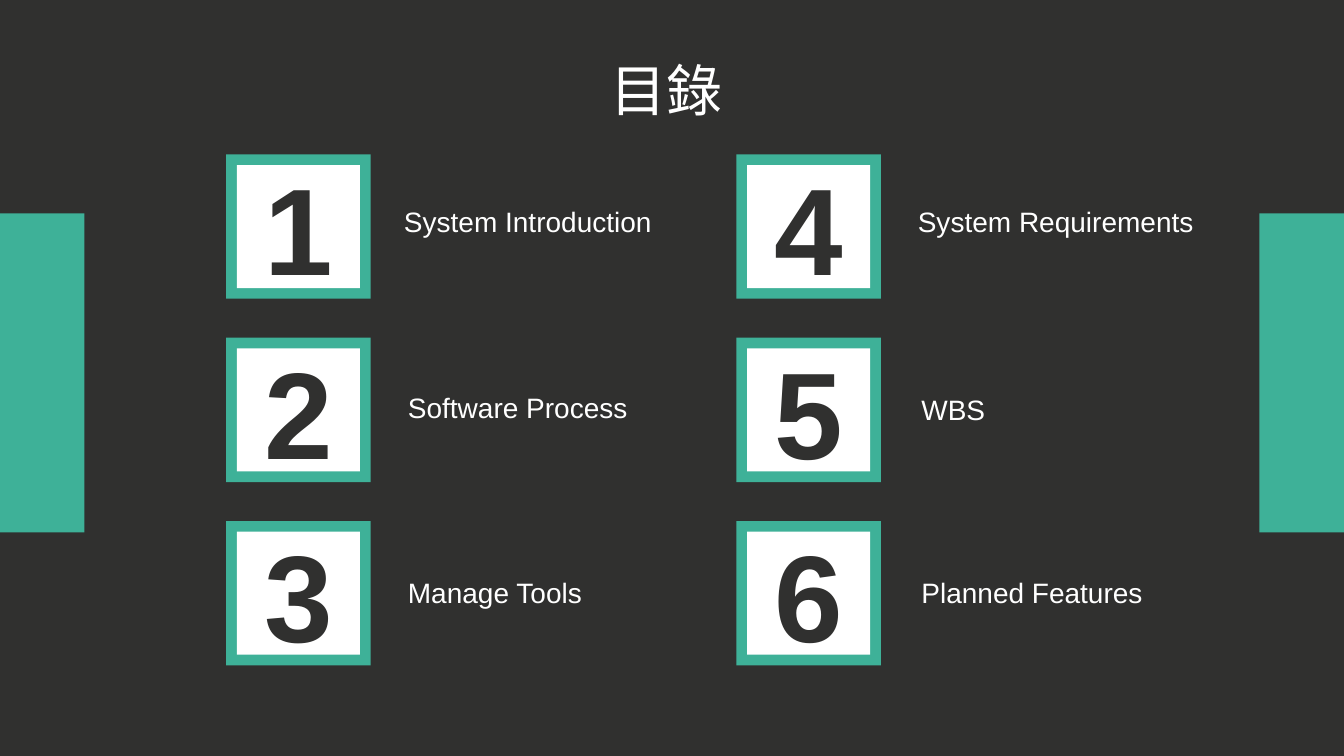
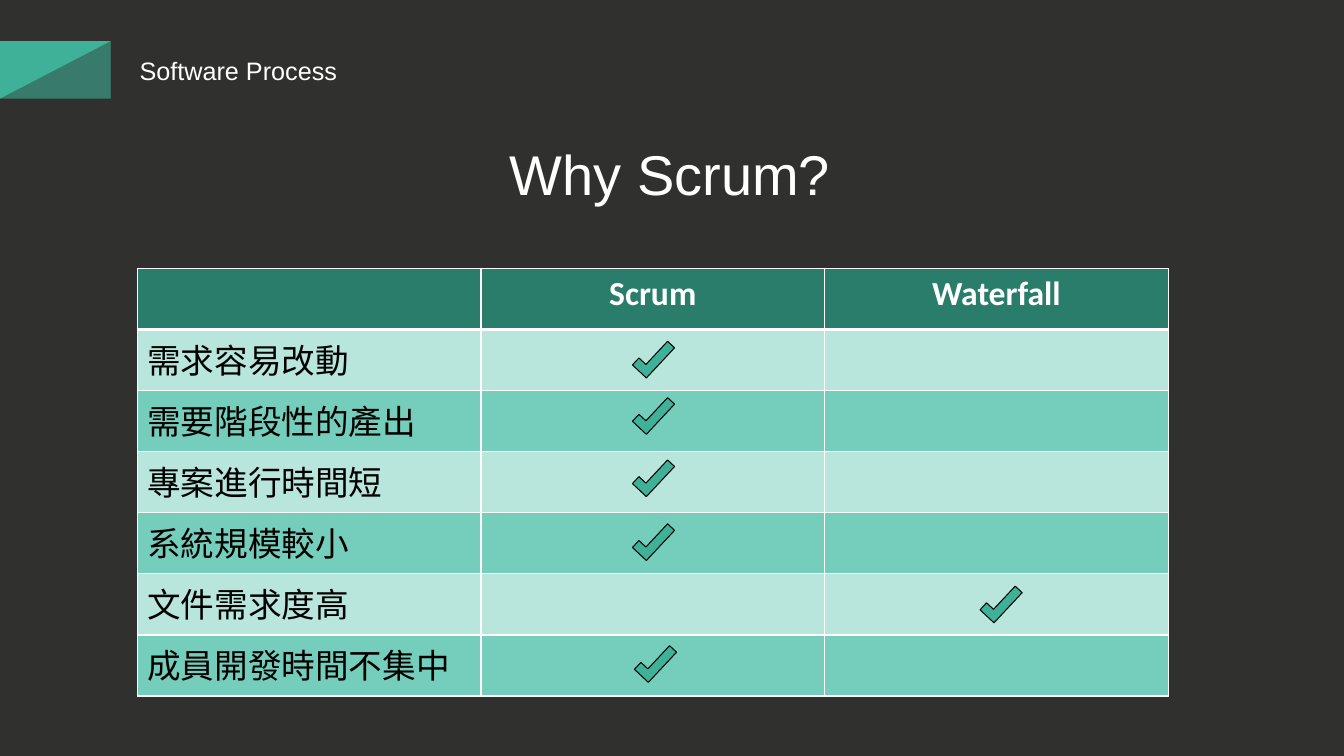
from dataclasses import dataclass
from typing import Any

from lxml.etree import SubElement
from pptx import Presentation
from pptx.dml.color import RGBColor
from pptx.enum.shapes import MSO_SHAPE
from pptx.enum.text import MSO_ANCHOR, MSO_AUTO_SIZE, PP_ALIGN
from pptx.oxml import parse_xml
from pptx.oxml.ns import nsdecls, qn
from pptx.util import Cm, Pt

DARK = "30302F"
GREEN = "3EB198"
WHITE = "FFFFFF"
BLACK = "000000"
HEADER_GREEN = "2B7D6B"
ROW_GREENS = ("B8E6DC", "74CEBB")

SLIDE_WIDTH, SLIDE_HEIGHT = 33.87, 19.05
TILE_SIZE, TILE_INSET = 3.64, 0.27
TILE_LEFTS = (5.7, 18.56)
TILE_TOP, TILE_PITCH = 3.89, 4.62
SIDE_BAND_WIDTH = 2.13
COLUMN_WIDTH, ROW_HEIGHT = 8.66, 1.54


@dataclass(frozen=True)
class Box:
    left: float
    top: float
    width: float
    height: float

    def lengths(self) -> tuple[Cm, Cm, Cm, Cm]:
        return Cm(self.left), Cm(self.top), Cm(self.width), Cm(self.height)

    def inset(self, margin: float) -> "Box":
        return Box(self.left + margin, self.top + margin,
                   self.width - 2 * margin, self.height - 2 * margin)


@dataclass(frozen=True)
class Style:
    size: float
    colour: str = WHITE
    bold: bool = False
    font: str = "Arial"


@dataclass(frozen=True)
class Chapter:
    title: str
    label: Box


@dataclass(frozen=True)
class Criterion:
    name: str
    check_left: float
    check_top: float


TITLE = Style(40)
SECTION = Style(18)
LABEL = Style(20)
NUMBER = Style(88, DARK, bold=True)
TABLE_HEADER = Style(24, bold=True, font="Calibri")
TABLE_BODY = Style(24, BLACK, font="Calibri")

CHAPTERS = (
    Chapter("System Introduction", Box(9.93, 5.03, 6.8, 1.11)),
    Chapter("Software Process", Box(10.03, 9.71, 6.3, 1.11)),
    Chapter("Manage Tools", Box(10.03, 14.38, 4.93, 1.11)),
    Chapter("System Requirements", Box(22.88, 5.03, 7.51, 1.11)),
    Chapter("WBS", Box(22.97, 9.77, 2.13, 1.11)),
    Chapter("Planned Features", Box(22.97, 14.38, 6.14, 1.11)),
)

CRITERIA = (
    Criterion("需求容易改動", 15.95, 8.74),
    Criterion("需要階段性的產出", 15.95, 10.16),
    Criterion("專案進行時間短", 15.95, 11.73),
    Criterion("系統規模較小", 15.95, 13.34),
    Criterion("文件需求度高", 24.71, 14.91),
    Criterion("成員開發時間不集中", 16.0, 16.41),
)


def rgb(value: str) -> RGBColor:
    return RGBColor.from_string(value)


def paint(fill: Any, colour: str) -> None:
    fill.solid()
    fill.fore_color.rgb = rgb(colour)


def add_run(paragraph: Any, text: str, style: Style) -> None:
    run = paragraph.add_run()
    run.text = text
    run.font.name = style.font
    run.font.size = Pt(style.size)
    run.font.bold = style.bold
    run.font.color.rgb = rgb(style.colour)


def add_block(shapes: Any, box: Box, colour: str,
              kind: MSO_SHAPE = MSO_SHAPE.RECTANGLE) -> Any:
    shape = shapes.add_shape(kind, *box.lengths())
    shape.shadow.inherit = False
    paint(shape.fill, colour)
    shape.line.fill.background()
    return shape


def add_text(slide: Any, box: Box, text: str, style: Style, wrap: bool = False) -> None:
    frame = slide.shapes.add_textbox(*box.lengths()).text_frame
    frame.word_wrap = wrap
    frame.auto_size = MSO_AUTO_SIZE.SHAPE_TO_FIT_TEXT
    add_run(frame.paragraphs[0], text, style)


def add_number_tile(slide: Any, number: int, box: Box) -> None:
    group = slide.shapes.add_group_shape()
    add_block(group.shapes, box, GREEN)
    face = add_block(group.shapes, box.inset(TILE_INSET), WHITE)
    face.text_frame.vertical_anchor = MSO_ANCHOR.MIDDLE
    paragraph = face.text_frame.paragraphs[0]
    paragraph.alignment = PP_ALIGN.CENTER
    add_run(paragraph, str(number), NUMBER)


def add_section_header(slide: Any, text: str) -> None:
    box = Box(0, 1.04, 2.79, 1.45)
    group = slide.shapes.add_group_shape()
    add_block(group.shapes, box, GREEN)
    shade = add_block(group.shapes, box, DARK, MSO_SHAPE.RIGHT_TRIANGLE)
    shade.element.spPr.find(qn("a:xfrm")).set("flipH", "1")
    colour = shade.element.spPr.find(qn("a:solidFill"))[0]
    SubElement(colour, qn("a:alpha")).set("val", "42000")
    add_text(slide, Box(3.27, 1.28, 5.54, 1.03), text, SECTION)


def set_borders(cell: Any, top: float, bottom: float) -> None:
    properties = cell._tc.get_or_add_tcPr()
    sides = (("L", 1), ("R", 1), ("T", top), ("B", bottom))
    for position, (side, width) in enumerate(sides):
        properties.insert(position, parse_xml(
            f'<a:ln{side} {nsdecls("a")} w="{Pt(width)}"><a:solidFill>'
            f'<a:srgbClr val="{WHITE}"/></a:solidFill></a:ln{side}>'))


def add_comparison_table(slide: Any) -> None:
    rows = [("", "Scrum", "Waterfall")] + [(item.name, "", "") for item in CRITERIA]
    box = Box(3.46, 6.76, 3 * COLUMN_WIDTH, len(rows) * ROW_HEIGHT)
    table = slide.shapes.add_table(len(rows), 3, *box.lengths()).table
    for column in table.columns:
        column.width = Cm(COLUMN_WIDTH)
    for row_index, texts in enumerate(rows):
        table.rows[row_index].height = Cm(ROW_HEIGHT)
        is_header = row_index == 0
        colour = HEADER_GREEN if is_header else ROW_GREENS[(row_index - 1) % 2]
        for column_index, text in enumerate(texts):
            cell = table.cell(row_index, column_index)
            paint(cell.fill, colour)
            set_borders(cell, 3 if row_index == 1 else 1, 3 if is_header else 1)
            if text:
                paragraph = cell.text_frame.paragraphs[0]
                paragraph.alignment = PP_ALIGN.CENTER if is_header else PP_ALIGN.LEFT
                add_run(paragraph, text, TABLE_HEADER if is_header else TABLE_BODY)


def add_check(slide: Any, criterion: Criterion) -> None:
    box = Box(criterion.check_left, criterion.check_top, 1.04, 0.48)
    check = add_block(slide.shapes, box, GREEN, MSO_SHAPE.CORNER)
    check.rotation = 313.1
    paint(check.line.fill, BLACK)
    check.line.width = Pt(0.75)


def build_contents(presentation: Any) -> None:
    slide = presentation.slides.add_slide(presentation.slide_layouts[6])
    for left in (0, SLIDE_WIDTH - SIDE_BAND_WIDTH):
        add_block(slide.shapes, Box(left, 5.38, SIDE_BAND_WIDTH, 8.04), GREEN)
    add_text(slide, Box(15.14, 1.27, 3.61, 1.96), "目錄", TITLE, wrap=True)
    for index, chapter in enumerate(CHAPTERS):
        column, row = divmod(index, 3)
        tile = Box(TILE_LEFTS[column], TILE_TOP + row * TILE_PITCH, TILE_SIZE, TILE_SIZE)
        add_number_tile(slide, index + 1, tile)
        add_text(slide, chapter.label, chapter.title, LABEL)


def build_comparison(presentation: Any) -> None:
    slide = presentation.slides.add_slide(presentation.slide_layouts[6])
    add_section_header(slide, "Software Process")
    add_text(slide, Box(12.6, 3.38, 8.66, 1.96), "Why Scrum?", TITLE)
    add_comparison_table(slide)
    for criterion in CRITERIA:
        add_check(slide, criterion)


def main() -> None:
    """Build the contents slide and the process comparison slide."""
    presentation = Presentation()
    presentation.slide_width = Cm(SLIDE_WIDTH)
    presentation.slide_height = Cm(SLIDE_HEIGHT)
    paint(presentation.slide_master.background.fill, DARK)
    build_contents(presentation)
    build_comparison(presentation)
    presentation.save("out.pptx")


if __name__ == "__main__":
    main()
